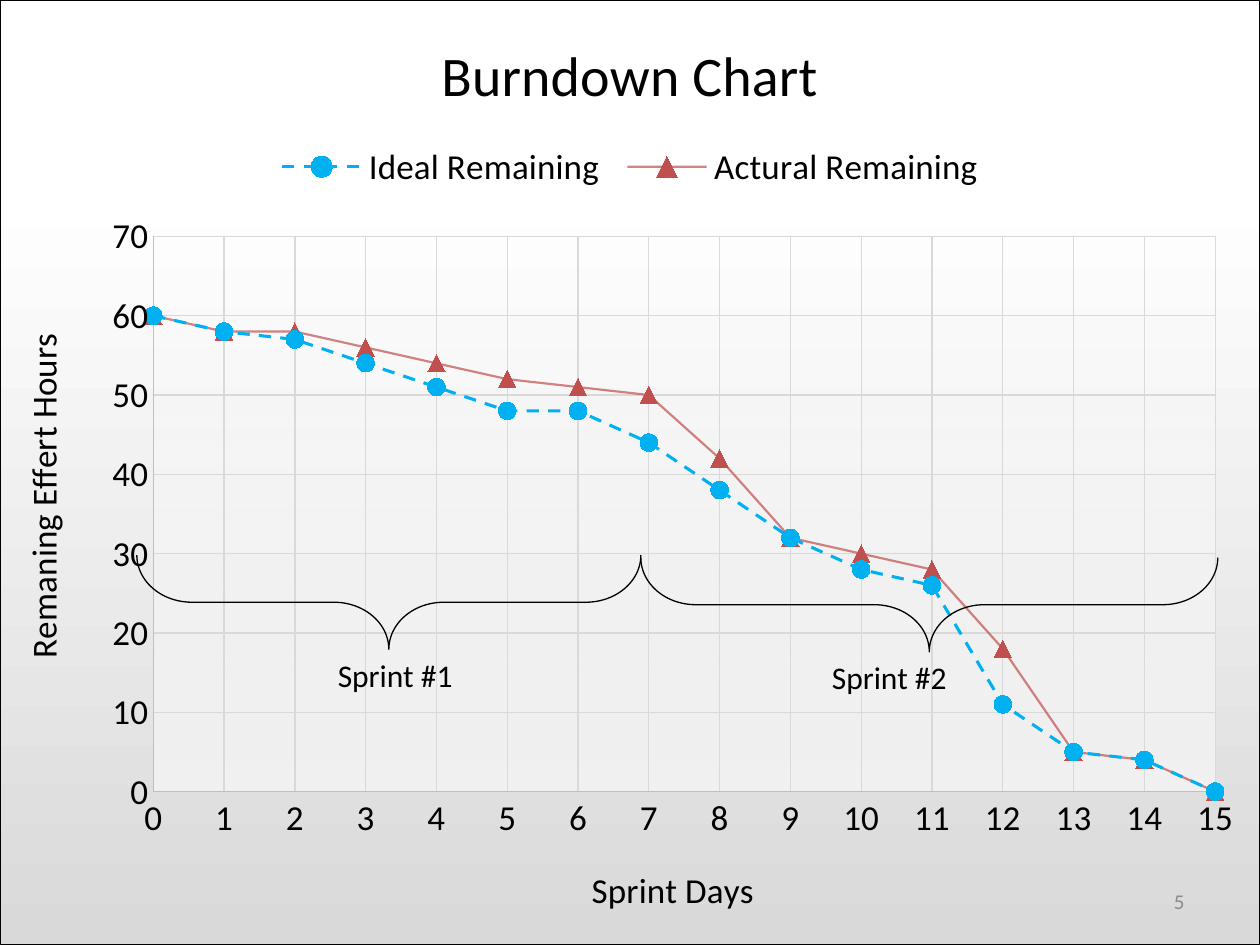
from collections import namedtuple
from dataclasses import dataclass

from lxml import etree
from pptx import Presentation
from pptx.chart.data import XyChartData
from pptx.dml.color import RGBColor
from pptx.enum.chart import XL_CHART_TYPE, XL_LEGEND_POSITION, XL_MARKER_STYLE, XL_TICK_MARK
from pptx.enum.dml import MSO_LINE
from pptx.enum.shapes import MSO_SHAPE
from pptx.enum.text import MSO_ANCHOR, PP_ALIGN
from pptx.oxml import parse_xml
from pptx.oxml.ns import qn
from pptx.util import Cm, Pt

SCATTER = XL_CHART_TYPE.XY_SCATTER_LINES
TOP = XL_LEGEND_POSITION.TOP
CIRCLE, TRIANGLE = XL_MARKER_STYLE.CIRCLE, XL_MARKER_STYLE.TRIANGLE
NO_TICK = XL_TICK_MARK.NONE
DASH, SOLID = MSO_LINE.DASH, MSO_LINE.SOLID
LEFT_BRACE = MSO_SHAPE.LEFT_BRACE
MIDDLE = MSO_ANCHOR.MIDDLE
LEFT, RIGHT = PP_ALIGN.LEFT, PP_ALIGN.RIGHT
NAMESPACES = (
    'xmlns:c="http://schemas.openxmlformats.org/drawingml/2006/chart" '
    'xmlns:a="http://schemas.openxmlformats.org/drawingml/2006/main"'
)

Box = namedtuple("Box", "left top width height", defaults=(None, None))
Series = namedtuple("Series", "name values color marker width dash alpha")


@dataclass(frozen=True)
class Theme:
    """Font, colours and type sizes of the slide."""
    font: str = "Calibri"
    ink: str = "000000"
    muted: str = "8C8C8C"
    grid: str = "D9D9D9"
    axis: str = "BFBFBF"
    paper: str = "FFFFFF"
    plot: str = "F2F2F2"
    ideal: str = "00B0F0"
    actual: str = "C0504D"
    title_size: int = 32
    chart_size: int = 20
    label_size: int = 18
    number_size: int = 12


THEME = Theme()
SERIES = (
    Series("Ideal Remaining",
           (60, 58, 57, 54, 51, 48, 48, 44, 38, 32, 28, 26, 11, 5, 4, 0),
           THEME.ideal, CIRCLE, 1.75, DASH, 100),
    Series("Actural Remaining",
           (60, 58, 58, 56, 54, 52, 51, 50, 42, 32, 30, 28, 18, 5, 4, 0),
           THEME.actual, TRIANGLE, 1.25, SOLID, 70),
)


def style_font(font, size, color=THEME.ink):
    """Set the typeface, size and colour of a font."""
    font.name, font.size, font.bold = THEME.font, Pt(size), False
    font.color.rgb = RGBColor.from_string(color)


def style_line(line, color, width):
    """Set the colour and width of a line."""
    line.color.rgb = RGBColor.from_string(color)
    line.width = Pt(width)


def gradient_properties(stops, border=None):
    """Return chart shape properties with a vertical gradient."""
    marks = "".join(
        f'<a:gs pos="{pos * 1000}"><a:srgbClr val="{color}">'
        f'<a:alpha val="{alpha * 1000}"/></a:srgbClr></a:gs>'
        for pos, color, alpha in stops)
    outline = '<a:ln><a:noFill/></a:ln>'
    if border:
        outline = (f'<a:ln w="{Pt(0.75)}"><a:solidFill><a:srgbClr val="{border}"/>'
                   '</a:solidFill></a:ln>')
    return parse_xml(
        f'<c:spPr {NAMESPACES}><a:gradFill><a:gsLst>{marks}</a:gsLst>'
        f'<a:lin ang="5400000" scaled="0"/></a:gradFill>{outline}</c:spPr>')


def place_part(part, chart_box, part_box, inner=False):
    """Place a chart part at a box measured inside the chart box."""
    for old in part.findall(qn("c:layout")):
        part.remove(old)
    spans = (chart_box.width, chart_box.height) * 2
    target = '<c:layoutTarget val="inner"/>' if inner else ""
    modes = '<c:xMode val="edge"/><c:yMode val="edge"/>'
    values = "".join(f'<c:{key} val="{length / span}"/>'
                     for key, length, span in zip("xywh", part_box, spans)
                     if length is not None)
    layout = parse_xml(f'<c:layout {NAMESPACES}><c:manualLayout>{target}{modes}{values}'
                       '</c:manualLayout></c:layout>')
    overlay = part.find(qn("c:overlay"))
    if overlay is None:
        part.insert(0, layout)
    else:
        overlay.addprevious(layout)


def set_title(owner_title, text, size):
    """Write and format a chart or axis title."""
    owner_title.text_frame.text = text
    style_font(owner_title.text_frame.paragraphs[0].runs[0].font, size)


def style_axis(axis, title, maximum, step):
    """Format one value axis with its title, scale and grid."""
    axis.minimum_scale, axis.maximum_scale, axis.major_unit = 0, maximum, step
    axis.major_tick_mark = axis.minor_tick_mark = NO_TICK
    axis.has_major_gridlines = True
    style_line(axis.major_gridlines.format.line, THEME.grid, 0.75)
    style_line(axis.format.line, THEME.axis, 0.75)
    style_font(axis.tick_labels.font, THEME.chart_size)
    axis.has_title = True
    set_title(axis.axis_title, title, THEME.chart_size)


def style_series(series, look):
    """Format the line and markers of one series."""
    style_line(series.format.line, look.color, look.width)
    series.format.line.dash_style = look.dash
    if look.alpha < 100:
        color = series.format.line._ln.find(".//" + qn("a:srgbClr"))
        etree.SubElement(color, qn("a:alpha"), val=str(look.alpha * 1000))
    series.marker.style, series.marker.size = look.marker, 10
    series.marker.format.fill.solid()
    series.marker.format.fill.fore_color.rgb = RGBColor.from_string(look.color)
    style_line(series.marker.format.line, look.color, 0.75)


def add_burndown(page, box):
    """Draw the burndown chart in the given box."""
    data = XyChartData()
    for look in SERIES:
        series = data.add_series(look.name)
        for day, hours in enumerate(look.values):
            series.add_data_point(day, hours)
    chart = page.shapes.add_chart(SCATTER, *map(Cm, box), data).chart
    style_font(chart.font, THEME.chart_size)
    chart.has_title = True
    set_title(chart.chart_title, "Burndown Chart", THEME.title_size)
    chart.has_legend = True
    chart.legend.position, chart.legend.include_in_layout = TOP, False
    style_font(chart.legend.font, THEME.chart_size)
    style_axis(chart.category_axis, "Sprint Days", 15, 1)
    style_axis(chart.value_axis, "Remaning Effert Hours", 70, 10)
    chart.plots[0].vary_by_categories = False
    for series, look in zip(chart.plots[0].series, SERIES):
        style_series(series, look)

    root = chart._chartSpace
    plot_area = root.find(".//" + qn("c:plotArea"))
    day_title, hour_title = plot_area.findall(qn("c:valAx") + "/" + qn("c:title"))
    hour_title.find(".//" + qn("a:bodyPr")).set("rot", "-5400000")
    place_part(root.find(qn("c:chart") + "/" + qn("c:title")), box, Box(8.69, 0.51))
    place_part(root.find(".//" + qn("c:legend")), box, Box(5.35, 2.88, 14.7, 0.95))
    place_part(plot_area, box, Box(3.08, 4.76, 21.43, 11.21), inner=True)
    place_part(day_title, box, Box(11.8, 17.33))
    place_part(hour_title, box, Box(0.23, 6.59))
    plot_area.append(gradient_properties(((0, THEME.paper, 0), (100, THEME.plot, 100))))
    root.find(qn("c:chart")).addnext(gradient_properties(
        ((20, THEME.paper, 100), (100, THEME.grid, 100)), THEME.ink))


def add_text(page, box, text, size, color=THEME.ink, align=LEFT):
    """Add one line of text in the given box."""
    frame = page.shapes.add_textbox(*map(Cm, box)).text_frame
    frame.word_wrap, frame.vertical_anchor = True, MIDDLE
    frame.text = text
    para = frame.paragraphs[0]
    para.alignment = align
    style_font(para.runs[0].font, size, color)


def add_sprint(page, box, label, label_shift):
    """Draw a brace that fills the box, with its label below."""
    left = box.left + (box.width - box.height) / 2
    top = box.top - (box.width - box.height) / 2
    brace = page.shapes.add_shape(LEFT_BRACE, Cm(left), Cm(top), Cm(box.height), Cm(box.width))
    brace.rotation = 270
    brace.adjustments[0], brace.adjustments[1] = 0.583, 0.5
    brace.shadow.inherit = False
    brace.fill.background()
    style_line(brace.line, THEME.ink, 0.75)
    label_box = Box(box.left + label_shift, box.top + box.height, 4.6, 1.02)
    add_text(page, label_box, label, THEME.label_size)


def main():
    """Build and save the slide."""
    deck = Presentation()
    deck.slide_width, deck.slide_height = Cm(25.4), Cm(19.05)
    page = deck.slides.add_slide(deck.slide_layouts[6])
    add_burndown(page, Box(0, 0, 25.4, 19.05))
    add_text(page, Box(18.21, 17.65, 5.92, 1.02), "5", THEME.number_size, THEME.muted, RIGHT)
    add_sprint(page, Box(2.76, 11.19, 10.16, 1.9), "Sprint #1", 3.8)
    add_sprint(page, Box(12.92, 11.24, 11.63, 1.9), "Sprint #2", 3.6)
    deck.save("out.pptx")


if __name__ == "__main__":
    main()
